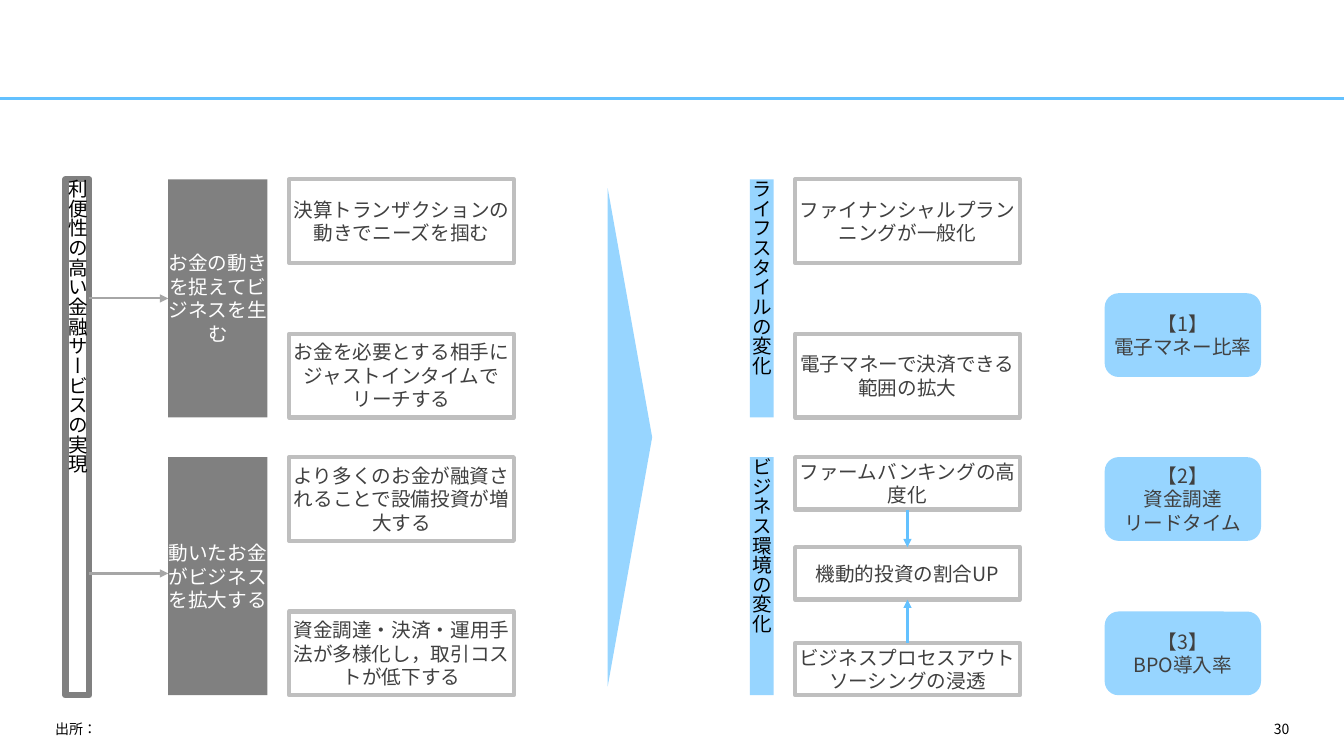
from lxml.etree import SubElement
from pptx import Presentation
from pptx.dml.color import RGBColor
from pptx.enum.lang import MSO_LANGUAGE_ID as LANG
from pptx.enum.shapes import MSO_CONNECTOR, MSO_SHAPE
from pptx.enum.text import MSO_ANCHOR, PP_ALIGN
from pptx.oxml.ns import qn
from pptx.util import Cm, Pt

FONT = "Noto Sans CJK JP"
BLACK, WHITE, TEXT = "000000", "FFFFFF", "404040"
DARK, MID, LIGHT = "808080", "A6A6A6", "BFBFBF"
BLUE, PALE_BLUE = "63C1FF", "97D5FF"

GOAL = "利便性の高い金融サービスの実現"
THEMES = ["お金の動きを捉えてビジネスを生む", "動いたお金がビジネスを拡大する"]
MEASURES = [
    "決算トランザクションの動きでニーズを掴む",
    "お金を必要とする相手にジャストインタイムでリーチする",
    "より多くのお金が融資されることで設備投資が増大する",
    "資金調達・決済・運用手法が多様化し，取引コストが低下する",
]
CHANGES = ["ライフスタイルの変化", "ビジネス環境の変化"]
LIFE_EFFECTS = ["ファイナンシャルプランニングが一般化", "電子マネーで決済できる範囲の拡大"]
BUSINESS_EFFECTS = [
    "ファームバンキングの高度化",
    "機動的投資の割合UP",
    "ビジネスプロセスアウトソーシングの浸透",
]
KPIS = ["【1】\n電子マネー比率", "【2】\n資金調達\nリードタイム", "【3】\nBPO導入率"]
SOURCE, PAGE = "出所：", "30"

# Lengths in centimetres
SLIDE_W, SLIDE_H = 33.87, 19.05
BANDS, BAND_H = [4.52, 11.52], 6.0
BOX_W, BOX_H, SMALL_H, BAR_W = 5.66, 2.11, 1.32, 0.6
GOAL_X, THEME_X, MEASURE_X = 1.65, 4.24, 7.29
CHANGE_X, EFFECT_X, KPI_X = 18.9, 20.04, 27.84
THEME_W, KPI_W = 2.5, 3.94
TOP, BOTTOM = BANDS[0], BANDS[1] + BAND_H
ROWS = [y for band in BANDS for y in (band, band + BAND_H - BOX_H)]
SMALL_ROWS = [BANDS[1], 13.79, BOTTOM - SMALL_H]
KPI_ROWS = [7.39, ROWS[2], ROWS[3]]
THEME_ARROWS = [7.52, 14.45]

prs = Presentation()
prs.slide_width, prs.slide_height = Cm(SLIDE_W), Cm(SLIDE_H)
shapes = prs.slides.add_slide(prs.slide_layouts[6]).shapes


def rgb(code):
    return RGBColor.from_string(code)


def write(sp, text, color, size=14, align=PP_ALIGN.CENTER, inset=0.0):
    tf = sp.text_frame
    tf.text = text
    tf.word_wrap = True
    tf.vertical_anchor = MSO_ANCHOR.MIDDLE
    tf.margin_left = tf.margin_right = Cm(inset)
    tf.margin_top = tf.margin_bottom = 0
    for p in tf.paragraphs:
        p.alignment = align
        for r in p.runs:
            r.font.size = Pt(size)
            r.font.color.rgb = rgb(color)
            r.font.name = FONT
            r.font.language_id = LANG.JAPANESE
            SubElement(r.font._element, qn("a:ea"), typeface=FONT)


def box(x, y, w, h, fill=None, line=None, width=3.0, kind=MSO_SHAPE.RECTANGLE):
    sp = shapes.add_shape(kind, Cm(x), Cm(y), Cm(w), Cm(h))
    sp.shadow.inherit = False
    if fill:
        sp.fill.solid()
        sp.fill.fore_color.rgb = rgb(fill)
    else:
        sp.fill.background()
    if line:
        sp.line.color.rgb = rgb(line)
        sp.line.width = Pt(width)
    else:
        sp.line.fill.background()
    return sp


def vertical_bar(text, y, x, h, **style):
    sp = box(x, y, BAR_W, h, **style)
    write(sp, text, BLACK, align=PP_ALIGN.LEFT)
    sp.text_frame._txBody.bodyPr.set("vert", "eaVert")


def framed_boxes(texts, x, tops, h):
    for text, y in zip(texts, tops):
        write(box(x, y, BOX_W, h, line=LIGHT), text, TEXT)


def connect(x1, y1, x2, y2, color, width=1.5, arrow=True):
    cn = shapes.add_connector(MSO_CONNECTOR.STRAIGHT, Cm(x1), Cm(y1), Cm(x2), Cm(y2))
    cn.line.color.rgb = rgb(color)
    cn.line.width = Pt(width)
    if arrow:
        SubElement(cn.line._get_or_add_ln(), qn("a:tailEnd"), type="triangle")
    SubElement(cn._element.spPr, qn("a:effectLst"))


def label(text, x, w, align):
    sp = shapes.add_textbox(Cm(x), Cm(18.06), Cm(w), Cm(0.61))
    write(sp, text, BLACK, 10, align, 0.25)


connect(0, 2.49, SLIDE_W, 2.49, BLUE, 2.25, arrow=False)
label(SOURCE, 1.14, 21.5, PP_ALIGN.LEFT)
label(PAGE, 23.93, 8.81, PP_ALIGN.RIGHT)

vertical_bar(GOAL, TOP, GOAL_X, BOTTOM - TOP, line=DARK, width=4.5)
for theme, change, y in zip(THEMES, CHANGES, BANDS):
    write(box(THEME_X, y, THEME_W, BAND_H, DARK), theme, WHITE)
    vertical_bar(change, y, CHANGE_X, BAND_H, fill=PALE_BLUE)

framed_boxes(MEASURES, MEASURE_X, ROWS, BOX_H)
framed_boxes(LIFE_EFFECTS, EFFECT_X, ROWS[:2], BOX_H)
framed_boxes(BUSINESS_EFFECTS, EFFECT_X, SMALL_ROWS, SMALL_H)

triangle = box(9.6, 10.46, 12.55, 1.12, PALE_BLUE, kind=MSO_SHAPE.ISOSCELES_TRIANGLE)
triangle.rotation = 90

for kpi, y in zip(KPIS, KPI_ROWS):
    sp = box(KPI_X, y, KPI_W, BOX_H, PALE_BLUE, kind=MSO_SHAPE.ROUNDED_RECTANGLE)
    write(sp, kpi, TEXT)

effect_mid = EFFECT_X + BOX_W / 2
first, middle, last = SMALL_ROWS
connect(effect_mid, first + SMALL_H, effect_mid, middle, BLUE)
connect(effect_mid, last, effect_mid, middle + SMALL_H, BLUE)
for y in THEME_ARROWS:
    connect(GOAL_X + BAR_W, y, THEME_X, y, MID)

prs.save("out.pptx")
